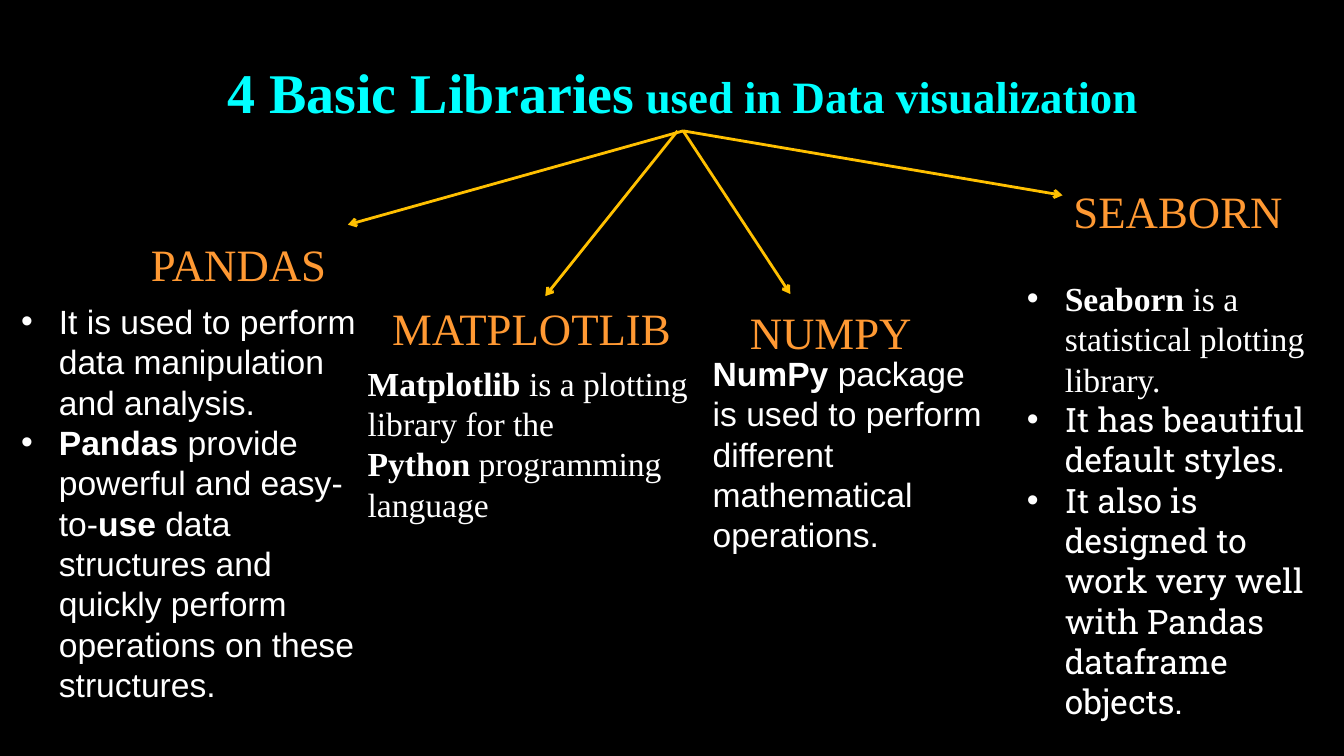
import pptx
import pptx.dml.color
import pptx.enum.shapes
import pptx.enum.text
import pptx.oxml.ns
import pptx.util
from lxml import etree

Pt = pptx.util.Pt
RGBColor = pptx.dml.color.RGBColor
PP_ALIGN = pptx.enum.text.PP_ALIGN
qn = pptx.oxml.ns.qn

BLACK = RGBColor(0x00, 0x00, 0x00)
WHITE = RGBColor(0xFF, 0xFF, 0xFF)
CYAN = RGBColor(0x00, 0xFF, 0xFF)
ORANGE = RGBColor(0xFF, 0x99, 0x33)
GOLD = RGBColor(0xFF, 0xC0, 0x00)
SERIF, SANS, SLAB = "Times New Roman", "Arial", "Roboto Slab"
BULLET_INDENT = Pt(27)

presentation = pptx.Presentation()
presentation.slide_width = Pt(960)
presentation.slide_height = Pt(540)
slide = presentation.slides.add_slide(presentation.slide_layouts[6])
slide.background.fill.solid()
slide.background.fill.fore_color.rgb = BLACK


def add_text_frame(left, top, width, height):
    frame = slide.shapes.add_textbox(Pt(left), Pt(top), Pt(width), Pt(height)).text_frame
    frame.word_wrap = True
    return frame


def style(paragraph, font_name, color, size=None):
    paragraph.font.name = font_name
    paragraph.font.color.rgb = color
    if size:
        paragraph.font.size = Pt(size)


# Title
title = add_text_frame(146, 37.5, 683.5, 55.5).paragraphs[0]
title.alignment = PP_ALIGN.CENTER
style(title, SERIF, CYAN)
title.font.bold = True
for words, size in [("4 Basic Libraries", 40), (" used in Data visualization", 32)]:
    run = title.add_run()
    run.text = words
    run.font.size = Pt(size)

# Arrows from the title to each library
for start_x, end_x, end_y in [(488, 248.5, 160.5), (488, 759, 139.5),
                              (484, 389.5, 211.5), (488, 564.5, 210)]:
    arrow = slide.shapes.add_connector(
        pptx.enum.shapes.MSO_CONNECTOR.STRAIGHT,
        Pt(start_x), Pt(93.5), Pt(end_x), Pt(end_y))
    arrow.line.color.rgb = GOLD
    arrow.line.width = Pt(2)
    etree.SubElement(arrow.line._get_or_add_ln(), qn("a:tailEnd"), type="arrow")
    etree.SubElement(arrow._element.spPr, qn("a:effectLst"))

# Library names
for library, left, top, width, alignment in [
    ("PANDAS", 88, 165.5, 165, PP_ALIGN.CENTER),
    ("MATPLOTLIB", 267, 211, 225.5, PP_ALIGN.CENTER),
    ("NUMPY", 528.5, 214, 165, PP_ALIGN.LEFT),
    ("SEABORN", 759, 127.5, 165, PP_ALIGN.CENTER),
]:
    heading = add_text_frame(left, top, width, 46).paragraphs[0]
    heading.text = library
    heading.alignment = alignment
    style(heading, SERIF, ORANGE, 32)

# Descriptions: box, bulleted, paragraphs of (font, runs of (words, bold))
descriptions = [
    ((8, 211.5, 257, 298), True, [
        (SANS, [("It is used to perform data manipulation and analysis.", False)]),
        (SANS, [("Pandas", True), (" provide powerful and easy-to-", False), ("use", True),
                (" data structures and quickly perform operations on these structures.", False)]),
    ]),
    ((255.5, 255.5, 248.5, 124), False, [
        (SERIF, [("Matplotlib", True), (" is a plotting library for the ", False)]),
        (SERIF, [("Python", True), (" programming language", False)]),
    ]),
    ((502, 248.5, 214.5, 152.5), False, [
        (SANS, [("NumPy", True),
                (" package is used to perform different mathematical operations.", False)]),
    ]),
    ((726.5, 195, 235.5, 327), True, [
        (SERIF, [("Seaborn", True), (" is a statistical plotting library.", False)]),
        (SLAB, [("It has beautiful default styles.", False)]),
        (SLAB, [("It also is designed to work very well with Pandas dataframe objects.", False)]),
    ]),
]
for box, bulleted, paragraphs in descriptions:
    frame = add_text_frame(*box)
    for index, (font_name, runs) in enumerate(paragraphs):
        paragraph = frame.add_paragraph() if index else frame.paragraphs[0]
        if bulleted:
            properties = paragraph._p.get_or_add_pPr()
            properties.set("marL", str(BULLET_INDENT))
            properties.set("indent", str(-BULLET_INDENT))
            etree.SubElement(properties, qn("a:buFont"), typeface=SANS)
            etree.SubElement(properties, qn("a:buChar"), char="•")
        style(paragraph, font_name, WHITE, 24)
        for words, bold in runs:
            run = paragraph.add_run()
            run.text = words
            if bold:
                run.font.bold = True

presentation.save("out.pptx")
